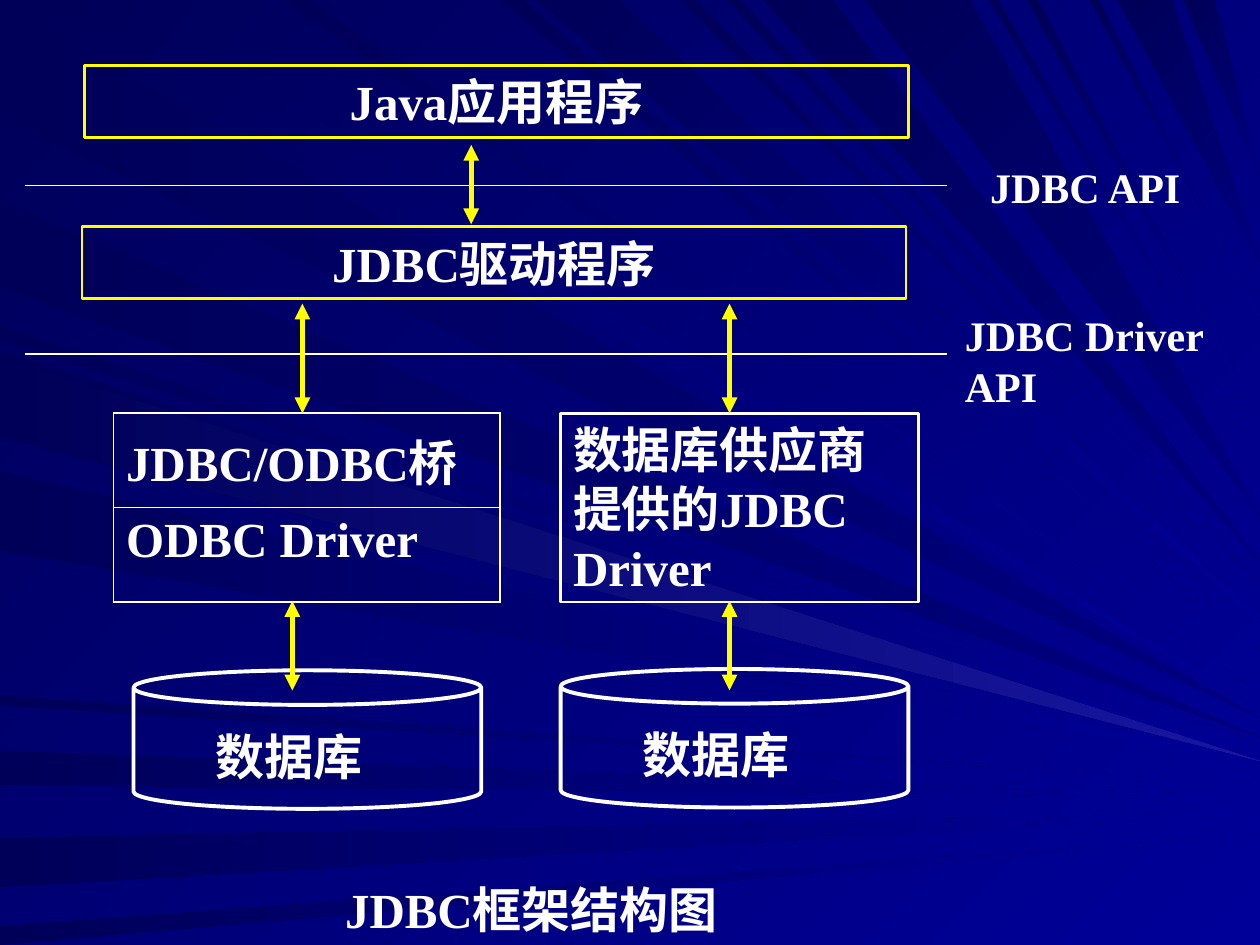
"""Build the JDBC architecture slide: ray backdrop, layers, drivers and databases."""
from dataclasses import dataclass

from lxml.etree import SubElement
from pptx import Presentation
from pptx.dml.color import RGBColor
from pptx.dml.fill import FillFormat
from pptx.enum.shapes import MSO_CONNECTOR, MSO_SHAPE
from pptx.enum.text import MSO_ANCHOR, PP_ALIGN
from pptx.oxml import parse_xml
from pptx.oxml.ns import nsdecls, qn
from pptx.slide import Slide
from pptx.table import _Cell
from pptx.text.text import TextFrame
from pptx.util import Emu, Pt

PX = 9144
WIDTH, HEIGHT = 1000, 750
WHITE = RGBColor.from_string("FFFFFF")
YELLOW = RGBColor.from_string("FFFF00")
MIDNIGHT = RGBColor.from_string("000058")
NAVY = RGBColor.from_string("000080")
ROYAL = RGBColor.from_string("000099")
GLOW = RGBColor.from_string("1717A2")
SERIF = "Times New Roman"
SANS = "Arial"
LINE_HEIGHT = 57
LEFT_AXIS, MIDDLE_AXIS, RIGHT_AXIS = 240, 374, 579
BOX_LEFT, BOX_TOP, BOX_HEIGHT = 445, 328, 150
LAYER_WIDTH = 654
DATABASE_WIDTH, DATABASE_HEIGHT = 276, 110


@dataclass(frozen=True)
class Ray:
    """A ray from a span of the top or left edge to a height on the right edge."""
    first: int
    last: int
    tip: int
    end: RGBColor = ROYAL


@dataclass(frozen=True)
class Panel:
    """An outlined box, with or without text."""
    left: int
    top: int
    width: int
    height: int
    color: RGBColor = WHITE
    weight: float = 1.5
    text: str = ""
    align: PP_ALIGN = PP_ALIGN.CENTER
    preset: MSO_SHAPE = MSO_SHAPE.RECTANGLE


@dataclass(frozen=True)
class Label:
    """Free-standing text."""
    left: int
    top: int
    width: int
    height: int
    text: str
    size: int = 28
    face: str = SERIF


LEFT_RAYS = (
    Ray(2, 93, 570, NAVY), Ray(596, 623, 632), Ray(665, 704, 645),
    Ray(735, 750, 662), Ray(258, 270, 589), Ray(159, 228, 585, NAVY),
    Ray(278, 342, 600), Ray(374, 437, 606), Ray(552, 560, 622),
    Ray(283, 347, 604, GLOW),
)
TOP_RAYS = (
    Ray(26, 101, 563), Ray(398, 416, 518), Ray(426, 492, 493),
    Ray(540, 552, 463), Ray(606, 661, 446, NAVY), Ray(887, 930, 210, NAVY),
    Ray(939, 964, 140, NAVY), Ray(225, 247, 550), Ray(577, 588, 454),
    Ray(686, 770, 409, NAVY), Ray(785, 792, 357), Ray(815, 824, 336),
    Ray(865, 872, 254),
)
PANELS = (
    Panel(BOX_LEFT, BOX_TOP, 284, BOX_HEIGHT,
          text="数据库供应商提供的JDBC Driver", align=PP_ALIGN.LEFT),
    Panel(67, 52, LAYER_WIDTH, LINE_HEIGHT, YELLOW, text="Java应用程序"),
    Panel(65, 180, LAYER_WIDTH, LINE_HEIGHT, YELLOW, text="JDBC驱动程序"),
    *(Panel(left, top, DATABASE_WIDTH, DATABASE_HEIGHT, weight=2.25, preset=MSO_SHAPE.CAN)
      for left, top in ((106, 532), (BOX_LEFT, 531))),
)
LABELS = (
    Label(776, 123, 193, 50, "JDBC API", 24),
    Label(756, 241, 244, 90, "JDBC Driver API", 24),
    *(Label(left, top, 149, LINE_HEIGHT, "数据库", face=SANS)
      for left, top in ((161, 572), (500, 570))),
    Label(264, 693, 362, LINE_HEIGHT, "JDBC框架结构图"),
)
BOUNDARIES = (147, 281)
ARROWS = (
    (MIDDLE_AXIS, 115, 178),
    *((axis, 241, BOX_TOP) for axis in (LEFT_AXIS, RIGHT_AXIS)),
    *((axis, 477, 548) for axis in (232, RIGHT_AXIS)),
)
BRIDGE_ROWS = (("JDBC/ODBC桥", MSO_ANCHOR.MIDDLE), ("ODBC Driver", MSO_ANCHOR.TOP))


def px(*lengths: int) -> list[Emu]:
    """Turn px lengths into EMU."""
    return [Emu(length * PX) for length in lengths]


def paint(fill: FillFormat, start: RGBColor, end: RGBColor, angle: int) -> None:
    """Fill with a gradient turned clockwise by an angle."""
    fill.gradient()
    fill.gradient_angle = -angle % 360
    for stop, color in zip(fill.gradient_stops, (start, end)):
        stop.color.rgb = color


def write(frame: TextFrame, text: str, size: int = 28, face: str = SERIF,
          align: PP_ALIGN = PP_ALIGN.LEFT) -> None:
    """Put one bold white paragraph into a text frame."""
    frame.word_wrap = True
    line = frame.paragraphs[0]
    line.text, line.alignment = text, align
    line.font.name, line.font.size, line.font.bold = face, Pt(size), True
    line.font.color.rgb = WHITE


def draw_ray(slide: Slide, ray: Ray, from_top: bool) -> None:
    """Draw one light ray."""
    base = [(at, 0) if from_top else (0, at) for at in (ray.first, ray.last)]
    builder = slide.shapes.build_freeform(*base[0], scale=PX)
    builder.add_line_segments([base[1], (WIDTH, ray.tip)], close=True)
    beam = builder.convert_to_shape()
    beam.shadow.inherit = False
    beam.line.fill.background()
    paint(beam.fill, MIDNIGHT, ray.end, 45 if from_top else 0)


def draw_panel(slide: Slide, panel: Panel) -> None:
    """Draw one outlined box."""
    box = slide.shapes.add_shape(panel.preset, *px(panel.left, panel.top, panel.width, panel.height))
    box.shadow.inherit = False
    box.fill.background()
    box.line.color.rgb, box.line.width = panel.color, Pt(panel.weight)
    if panel.text:
        write(box.text_frame, panel.text, align=panel.align)


def draw_label(slide: Slide, label: Label) -> None:
    """Draw one free-standing text."""
    box = slide.shapes.add_textbox(*px(label.left, label.top, label.width, label.height))
    write(box.text_frame, label.text, label.size, label.face)


def draw_line(slide: Slide, ends: tuple[int, int, int, int], color: RGBColor,
              weight: float, two_way: bool) -> None:
    """Draw one plain line or two-way arrow."""
    line = slide.shapes.add_connector(MSO_CONNECTOR.STRAIGHT, *px(*ends))
    line.line.color.rgb, line.line.width = color, Pt(weight)
    outline = line._element.spPr.find(qn("a:ln"))
    for end in ("a:headEnd", "a:tailEnd") if two_way else ():
        SubElement(outline, qn(end), type="triangle")
    SubElement(line._element.spPr, qn("a:effectLst"))


def set_borders(cell: _Cell, top: float, bottom: float) -> None:
    """Give a cell white borders, placed before its fill."""
    for place, (side, weight) in enumerate(zip("LRTB", (1.08, 1.08, top, bottom))):
        border = parse_xml(
            f'<a:ln{side} {nsdecls("a")} w="{int(Pt(weight))}"><a:solidFill>'
            f'<a:srgbClr val="{WHITE}"/></a:solidFill></a:ln{side}>')
        cell._tc.get_or_add_tcPr().insert(place, border)


def draw_bridge(slide: Slide) -> None:
    """Draw the bridge-over-driver table."""
    table = slide.shapes.add_table(len(BRIDGE_ROWS), 1, *px(90, BOX_TOP, 307, BOX_HEIGHT)).table
    table.first_row = table.horz_banding = False
    for row, (text, anchor) in enumerate(BRIDGE_ROWS):
        cell = table.cell(row, 0)
        cell.fill.background()
        set_borders(cell, *((0.45, 1.08) if row else (1.08, 0.45)))
        write(cell.text_frame, text)
        cell.vertical_anchor = anchor


def main() -> None:
    """Build and save the slide."""
    deck = Presentation()
    deck.slide_width, deck.slide_height = px(WIDTH, HEIGHT)
    slide = deck.slides.add_slide(deck.slide_layouts[6])
    paint(slide.background.fill, MIDNIGHT, ROYAL, 45)
    for rays, from_top in ((LEFT_RAYS, False), (TOP_RAYS, True)):
        for ray in rays:
            draw_ray(slide, ray, from_top)
    draw_bridge(slide)
    for panel in PANELS:
        draw_panel(slide, panel)
    for label in LABELS:
        draw_label(slide, label)
    for height in BOUNDARIES:
        draw_line(slide, (20, height, 752, height), WHITE, 0.75, False)
    for axis, top, bottom in ARROWS:
        draw_line(slide, (axis, top, axis, bottom), YELLOW, 3, True)
    deck.save("out.pptx")


if __name__ == "__main__":
    main()
